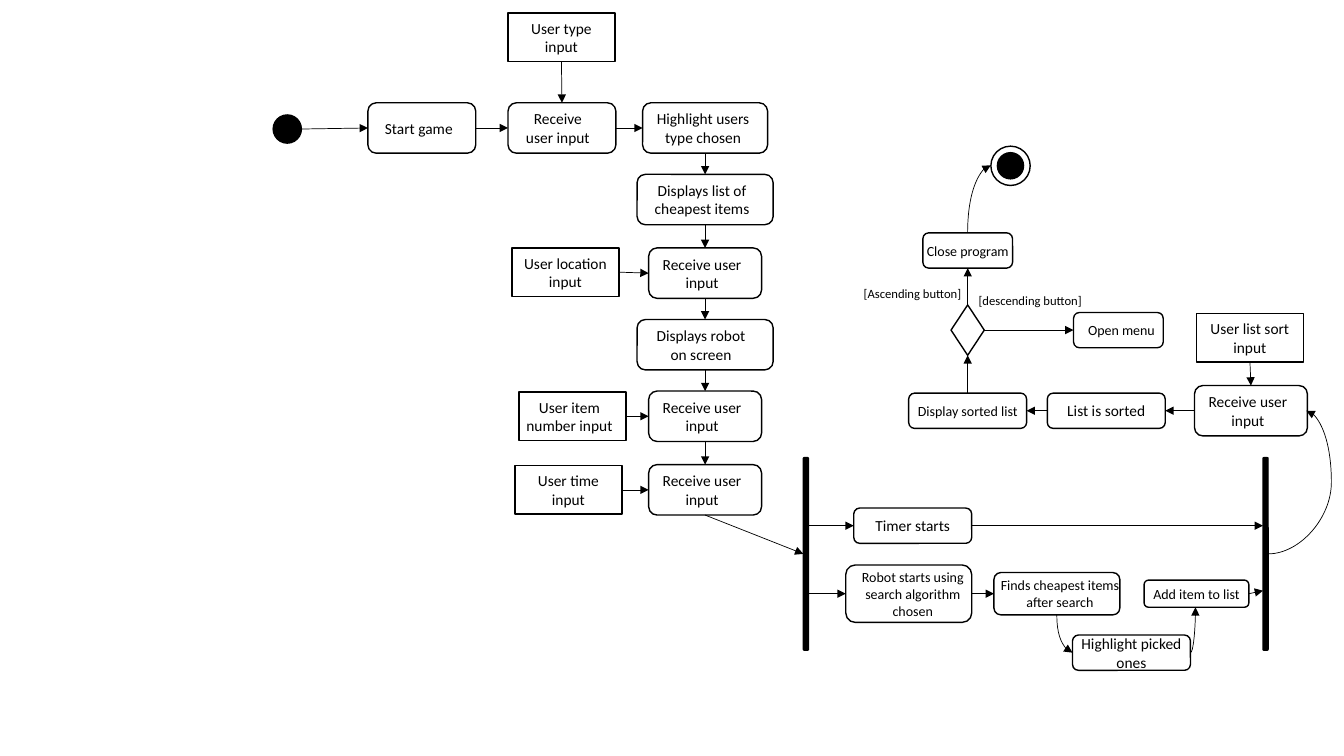
import dataclasses
import enum

import lxml.etree
import pptx
import pptx.dml.color
import pptx.enum.shapes
import pptx.enum.text
import pptx.oxml.ns
import pptx.util

BLACK = pptx.dml.color.RGBColor(0, 0, 0)
CELL = pptx.util.Inches(0.1)
COLUMNS, ROWS = 133.33, 75
FONT = "Calibri"
PRESET = pptx.enum.shapes.MSO_SHAPE
ROUNDED, SQUARE = PRESET.ROUNDED_RECTANGLE, PRESET.RECTANGLE
STEP = (11.2, 5)
INPUT = (10.6, 4.8)
TASK = (11.7, 3.5)
CHOICE = (8.9, 3.5)
SPINE = 69.95
TOP_ROW = 12.7
SORT_ROW = 40.75
SEARCH_ROW = 58.9
CHOICE_COLUMN = 96
FORK, JOIN = 79.95, 125.55


class Side(enum.IntEnum):
    TOP = 0
    LEFT = 1
    BOTTOM = 2
    RIGHT = 3


@dataclasses.dataclass(frozen=True)
class Node:
    name: str
    text: str
    column: float
    row: float
    size: tuple[float, float]
    preset: PRESET = ROUNDED
    points: int = 11
    inset: float = 0.8
    shift: float = 0
    solid: bool = False

    def anchor(self, side: Side) -> tuple[float, float]:
        across = {Side.LEFT: -0.5, Side.RIGHT: 0.5}.get(side, 0)
        down = {Side.TOP: -0.5, Side.BOTTOM: 0.5}.get(side, 0)
        return self.column + across * self.size[0], self.row + down * self.size[1]


@dataclasses.dataclass(frozen=True)
class Link:
    tail: str
    tail_side: Side
    head: str
    head_side: Side


@dataclasses.dataclass(frozen=True)
class Arrow:
    begin: tuple[float, float]
    end: tuple[float, float]
    preset: str = "line"
    arrow_end: str = "tailEnd"
    bend: int | None = None


@dataclasses.dataclass(frozen=True)
class Label:
    text: str
    column: float
    row: float
    width: float


NODES = (
    Node("start", "", 28.5, 12.8, (2.8, 2.8), PRESET.OVAL, solid=True),
    Node("game", "Start game", 41.85, TOP_ROW, (10.7, 5), shift=-0.3),
    Node("type input", "User type input", 55.7, 3.7, INPUT, SQUARE),
    Node("type", "Receive user input", 55.75, TOP_ROW, (10.7, 5), inset=1.5, shift=-0.4),
    Node("highlight", "Highlight users type chosen", SPINE, TOP_ROW, (12.4, 5), shift=-0.2),
    Node("cheapest", "Displays list of cheapest items", SPINE, 19.8, (13.5, 5), inset=1.5, shift=-0.3),
    Node("location", "Receive user input", SPINE, 27.1, STEP, shift=-0.3),
    Node("location input", "User location input", 56.1, 27, INPUT, SQUARE),
    Node("robot", "Displays robot on screen", SPINE, 34.2, (13.5, 5), inset=1.5, shift=-0.4),
    Node("item", "Receive user input", SPINE, 41.3, STEP, shift=-0.3),
    Node("item input", "User item number input", 56.8, 41.3, INPUT, SQUARE, shift=-0.3),
    Node("time", "Receive user input", SPINE, 48.6, STEP, shift=-0.3),
    Node("time input", "User time input", 56.4, 48.6, INPUT, SQUARE),
    Node("fork", "", FORK, 54.95, (0.5, 19.1), solid=True),
    Node("join", "", JOIN, 54.95, (0.5, 19.1), solid=True),
    Node("timer", "Timer starts", 90.55, 52.15, TASK),
    Node("search", "Robot starts using search algorithm chosen", 90.15, SEARCH_ROW, (12.5, 5.7),
         points=10, shift=0.4),
    Node("found", "Finds cheapest items after search", 104.85, SEARCH_ROW, (12.5, 4.2),
         points=10, inset=0, shift=0.3),
    Node("picked", "Highlight picked ones", 112.25, 64.75, TASK, inset=0.3),
    Node("added", "Add item to list", 118.7, SEARCH_ROW, (10.4, 2.7), points=10, inset=0.3),
    Node("sort input", "User list sort input", 124, 33.5, INPUT, SQUARE),
    Node("sort", "Receive user input", 124.1, SORT_ROW, STEP, shift=-0.3),
    Node("sorted", "List is sorted", 109.75, SORT_ROW, TASK),
    Node("display", "Display sorted list", CHOICE_COLUMN, SORT_ROW, TASK, points=10, inset=0.3),
    Node("decision", "", CHOICE_COLUMN, 32.75, (3.3, 5), PRESET.FLOWCHART_DECISION),
    Node("menu", "Open menu", 110.95, 32.75, CHOICE, points=10, shift=0.3),
    Node("close", "Close program", CHOICE_COLUMN, 24.85, CHOICE, points=10, inset=0),
    Node("end ring", "", 100.25, 16.45, (3.9, 3.9), PRESET.OVAL),
    Node("end", "", 100.25, 16.45, (2.6, 2.6), PRESET.OVAL, solid=True),
)

ACROSS = (
    ("game", "type"), ("type", "highlight"), ("location input", "location"),
    ("item input", "item"), ("time input", "time"), ("search", "found"), ("decision", "menu"),
)
BACK = (("sort", "sorted"), ("sorted", "display"))
DOWN = (
    ("type input", "type"), ("highlight", "cheapest"), ("cheapest", "location"),
    ("location", "robot"), ("robot", "item"), ("item", "time"), ("sort input", "sort"),
)
UP = (("display", "decision"), ("decision", "close"))
LINKS = (
    *(Link(tail, Side.RIGHT, head, Side.LEFT) for tail, head in ACROSS),
    *(Link(tail, Side.LEFT, head, Side.RIGHT) for tail, head in BACK),
    *(Link(tail, Side.BOTTOM, head, Side.TOP) for tail, head in DOWN),
    *(Link(tail, Side.TOP, head, Side.BOTTOM) for tail, head in UP),
    Link("time", Side.BOTTOM, "fork", Side.LEFT),
)

ARROWS = (
    Arrow((29.9, 12.8), (36.5, TOP_ROW)),
    Arrow((80.2, 52.15), (84.7, 52.15)),
    Arrow((96.4, 52.15), (125.3, 52.15)),
    Arrow((80.2, SEARCH_ROW), (83.9, SEARCH_ROW)),
    Arrow((123.9, SEARCH_ROW), (125.3, 58.6)),
    Arrow((98.3, 16.4), (CHOICE_COLUMN, 23.1), "curvedConnector2", "headEnd"),
    Arrow((106.4, 64.75), (104.85, 61), "curvedConnector2", "headEnd"),
    Arrow((118.1, 64.75), (118.6, 60.25), "curvedConnector2"),
    Arrow((125.8, 54.95), (129.6, SORT_ROW), "curvedConnector3", bend=165300),
)

LABELS = (
    Label("[descending button]", 96.1, 28.6, 14.6),
    Label("[Ascending button]", 84.7, 27.9, 13.6),
)


def cells(count: float) -> int:
    return round(count * CELL)


def write(frame: pptx.text.text.TextFrame, text: str, points: int) -> None:
    frame.word_wrap = True
    span = frame.paragraphs[0].add_run()
    span.text = text
    span.font.name = FONT
    span.font.size = pptx.util.Pt(points)
    span.font.color.rgb = BLACK


def draw_node(page: pptx.slide.Slide, node: Node) -> pptx.shapes.autoshape.Shape:
    width, height = node.size
    box = page.shapes.add_shape(
        node.preset, cells(node.column - width / 2), cells(node.row - height / 2),
        cells(width), cells(height),
    )
    box.shadow.inherit = False
    box.line.color.rgb = BLACK
    box.line.width = pptx.util.Pt(1)
    if node.solid:
        box.fill.solid()
        box.fill.fore_color.rgb = BLACK
    else:
        box.fill.background()
    if node.text:
        frame = box.text_frame
        frame.margin_left = cells(node.inset + node.shift)
        frame.margin_right = cells(node.inset - node.shift)
        frame.margin_top = frame.margin_bottom = 0
        frame.vertical_anchor = pptx.enum.text.MSO_ANCHOR.MIDDLE
        write(frame, node.text, node.points)
        frame.paragraphs[0].alignment = pptx.enum.text.PP_ALIGN.CENTER
    return box


def draw_arrow(page: pptx.slide.Slide, arrow: Arrow) -> pptx.shapes.connector.Connector:
    qualify = pptx.oxml.ns.qn
    ends = [cells(place) for place in (*arrow.begin, *arrow.end)]
    connector = page.shapes.add_connector(pptx.enum.shapes.MSO_CONNECTOR.STRAIGHT, *ends)
    connector.line.color.rgb = BLACK
    connector.line.width = pptx.util.Pt(0.5)
    properties = connector.element.spPr
    outline = properties.find(qualify("a:ln"))
    lxml.etree.SubElement(outline, qualify(f"a:{arrow.arrow_end}"), type="triangle")
    lxml.etree.SubElement(properties, qualify("a:effectLst"))
    geometry = properties.find(qualify("a:prstGeom"))
    geometry.set("prst", arrow.preset)
    if arrow.bend is not None:
        guides = geometry.find(qualify("a:avLst"))
        lxml.etree.SubElement(guides, qualify("a:gd"), name="adj1", fmla=f"val {arrow.bend}")
    return connector


def draw_label(page: pptx.slide.Slide, label: Label) -> None:
    box = page.shapes.add_textbox(
        cells(label.column), cells(label.row), cells(label.width), cells(2.5)
    )
    write(box.text_frame, label.text, 9)


deck = pptx.Presentation()
deck.slide_width, deck.slide_height = cells(COLUMNS), cells(ROWS)
page = deck.slides.add_slide(deck.slide_layouts[6])
nodes = {node.name: node for node in NODES}
boxes = {node.name: draw_node(page, node) for node in NODES}
for link in LINKS:
    begin = nodes[link.tail].anchor(link.tail_side)
    end = nodes[link.head].anchor(link.head_side)
    connector = draw_arrow(page, Arrow(begin, end))
    connector.begin_connect(boxes[link.tail], link.tail_side)
    connector.end_connect(boxes[link.head], link.head_side)
for arrow in ARROWS:
    draw_arrow(page, arrow)
for label in LABELS:
    draw_label(page, label)
deck.save("out.pptx")
